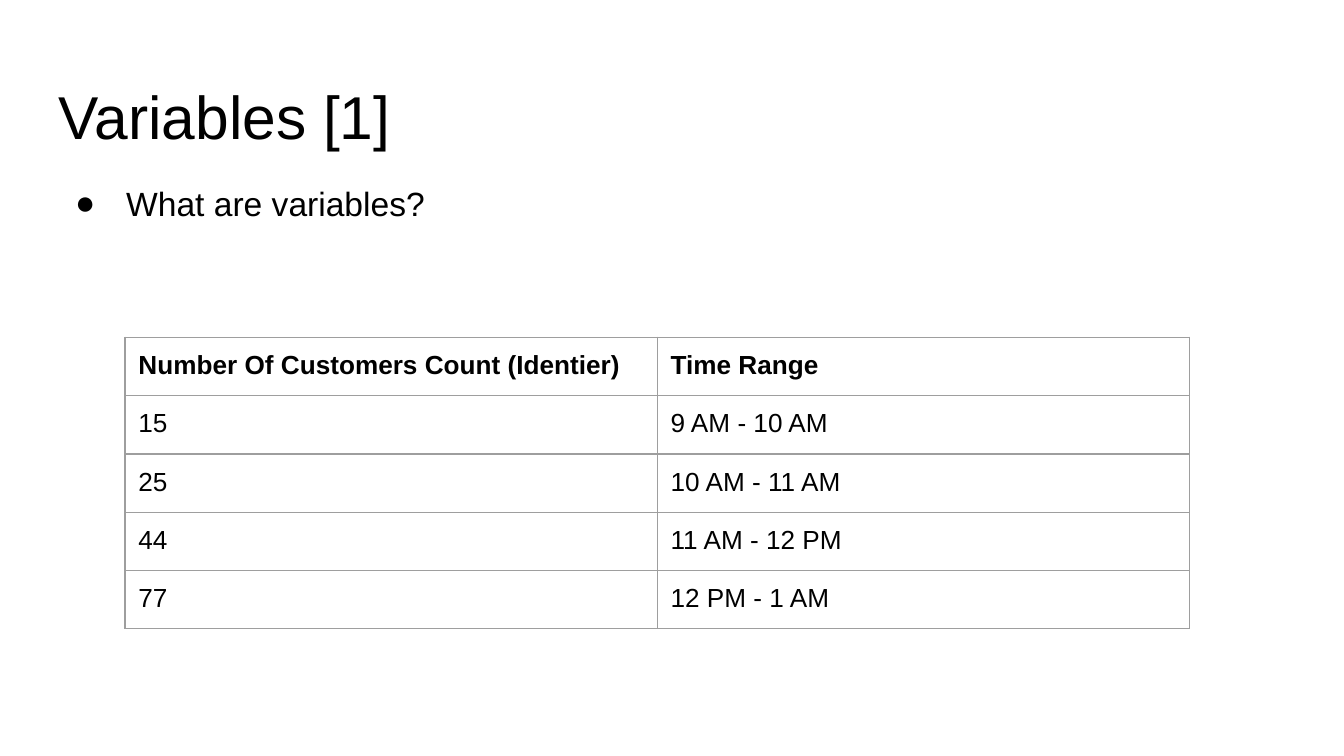
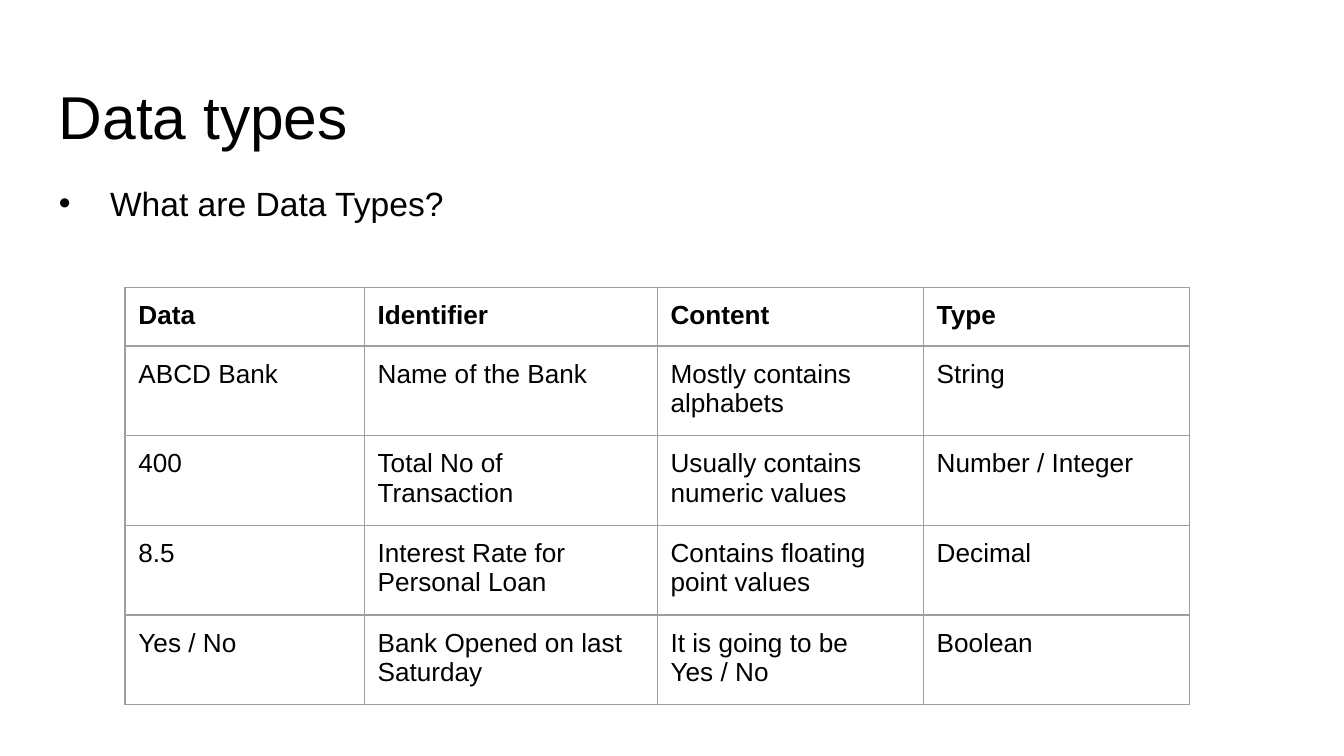
from lxml import etree
from pptx import Presentation
from pptx.dml.color import RGBColor
from pptx.enum.text import MSO_ANCHOR
from pptx.oxml.ns import qn
from pptx.util import Inches, Pt

TOP = MSO_ANCHOR.TOP
FONT = "Arial"
BLACK = "000000"
WHITE = "FFFFFF"
GREY = "9E9E9E"
INSET = Inches(0.1)
ROW_HEIGHT = 0.42
HANGING = 0.38

slides = [
    {
        "title": "Variables [1]",
        "question": "What are variables?",
        "bullet": "●",
        "indent": 0.5,
        "body_height": 3.74,
        "table_top": 2.51,
        "columns": [3.96, 3.96],
        "rows": [
            ["Number Of Customers Count (Identier)", "Time Range"],
            ["15", "9 AM - 10 AM"],
            ["25", "10 AM - 11 AM"],
            ["44", "11 AM - 12 PM"],
            ["77", "12 PM - 1 AM"],
        ],
    },
    {
        "title": "Data types",
        "question": "What are Data Types?",
        "bullet": "•",
        "indent": 0.38,
        "body_height": 4.08,
        "table_top": 2.14,
        "columns": [1.78, 2.18, 1.98, 1.98],
        "rows": [
            ["Data", "Identifier", "Content", "Type"],
            ["ABCD Bank", "Name of the Bank", "Mostly contains alphabets", "String"],
            ["400", "Total No of Transaction", "Usually contains numeric values", "Number / Integer"],
            ["8.5", "Interest Rate for Personal Loan", "Contains floating point values", "Decimal"],
            ["Yes / No", "Bank Opened on last Saturday", "It is going to be Yes / No", "Boolean"],
        ],
    },
]


def color(value):
    return RGBColor.from_string(value)


def write(holder, para, text, size, bold=False):
    holder.margin_left = holder.margin_right = INSET
    holder.margin_top = holder.margin_bottom = INSET
    holder.vertical_anchor = TOP
    para.line_spacing = 1.0
    span = para.add_run()
    span.text = text
    span.font.name = FONT
    span.font.size = Pt(size)
    span.font.bold = bold
    span.font.color.rgb = color(BLACK)
    etree.SubElement(para._p, qn("a:endParaRPr"), sz=str(int(size * 100)))


deck = Presentation()
deck.slide_width = Inches(10)
deck.slide_height = deck.slide_width * 9 // 16

for content in slides:
    page = deck.slides.add_slide(deck.slide_layouts[6])
    page.background.fill.solid()
    page.background.fill.fore_color.rgb = color(WHITE)

    title_box = page.shapes.add_textbox(Inches(0.34), Inches(0.49), Inches(9.32), Inches(0.63))
    title_box.text_frame.word_wrap = True
    write(title_box.text_frame, title_box.text_frame.paragraphs[0], content["title"], 32.4)

    body_box = page.shapes.add_textbox(
        Inches(0.34), Inches(1.26), Inches(9.32), Inches(content["body_height"])
    )
    body_box.text_frame.word_wrap = True
    para = body_box.text_frame.paragraphs[0]
    write(body_box.text_frame, para, content["question"], 18)
    properties = para._p.get_or_add_pPr()
    properties.set("marL", str(Inches(content["indent"])))
    properties.set("indent", str(-Inches(HANGING)))
    bullet_color = etree.SubElement(properties, qn("a:buClr"))
    etree.SubElement(bullet_color, qn("a:srgbClr"), val=BLACK)
    etree.SubElement(properties, qn("a:buFont"), typeface=FONT)
    etree.SubElement(properties, qn("a:buChar"), char=content["bullet"])

    rows, columns = content["rows"], content["columns"]
    table = page.shapes.add_table(
        len(rows), len(columns), Inches(0.93), Inches(content["table_top"]),
        Inches(sum(columns)), Inches(ROW_HEIGHT * len(rows)),
    ).table
    table.first_row = False
    table.horz_banding = False
    for column, width in zip(table.columns, columns):
        column.width = Inches(width)
    for row_index, row in enumerate(rows):
        table.rows[row_index].height = Inches(ROW_HEIGHT)
        for column_index, text in enumerate(row):
            cell = table.cell(row_index, column_index)
            write(cell, cell.text_frame.paragraphs[0], text, 14, bold=row_index == 0)
            cell_properties = cell._tc.get_or_add_tcPr()
            for side in ("a:lnL", "a:lnR", "a:lnT", "a:lnB"):
                border = etree.SubElement(cell_properties, qn(side), w=str(Pt(0.75)))
                border_fill = etree.SubElement(border, qn("a:solidFill"))
                etree.SubElement(border_fill, qn("a:srgbClr"), val=GREY)
            cell.fill.background()

deck.save("out.pptx")
